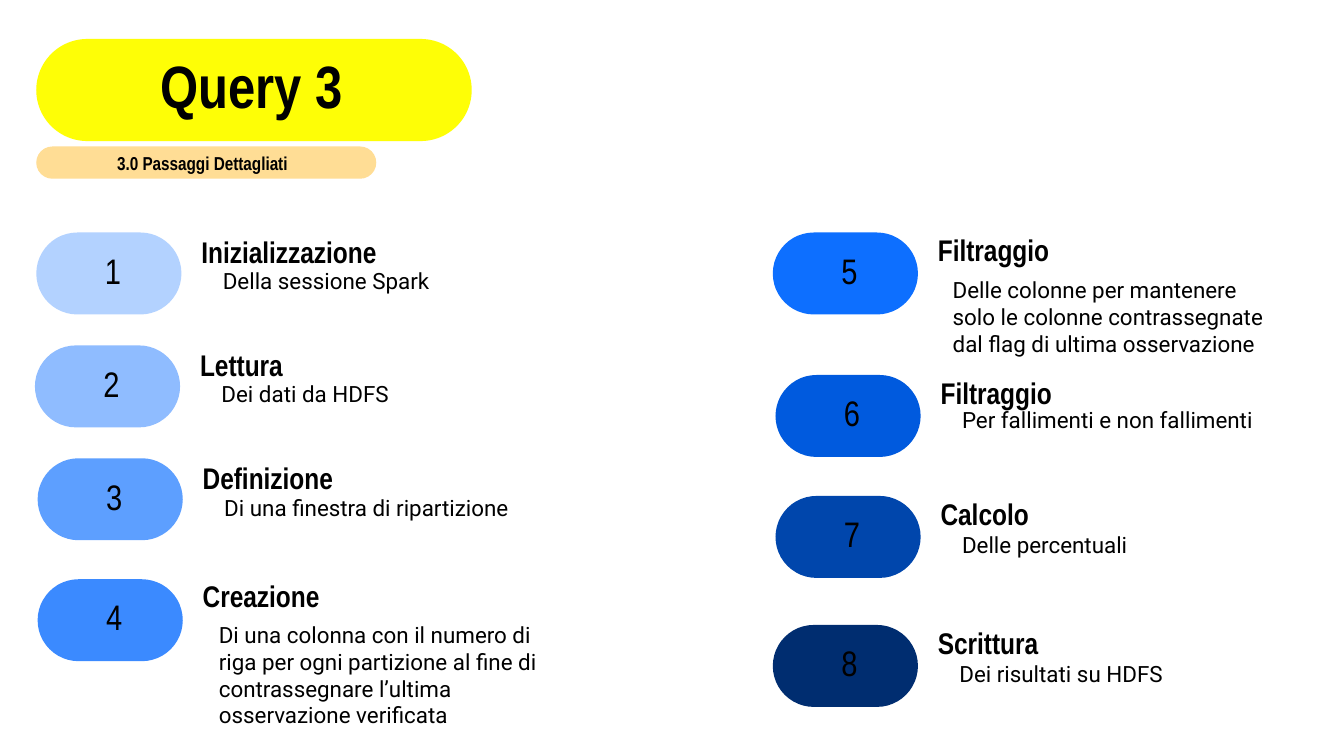
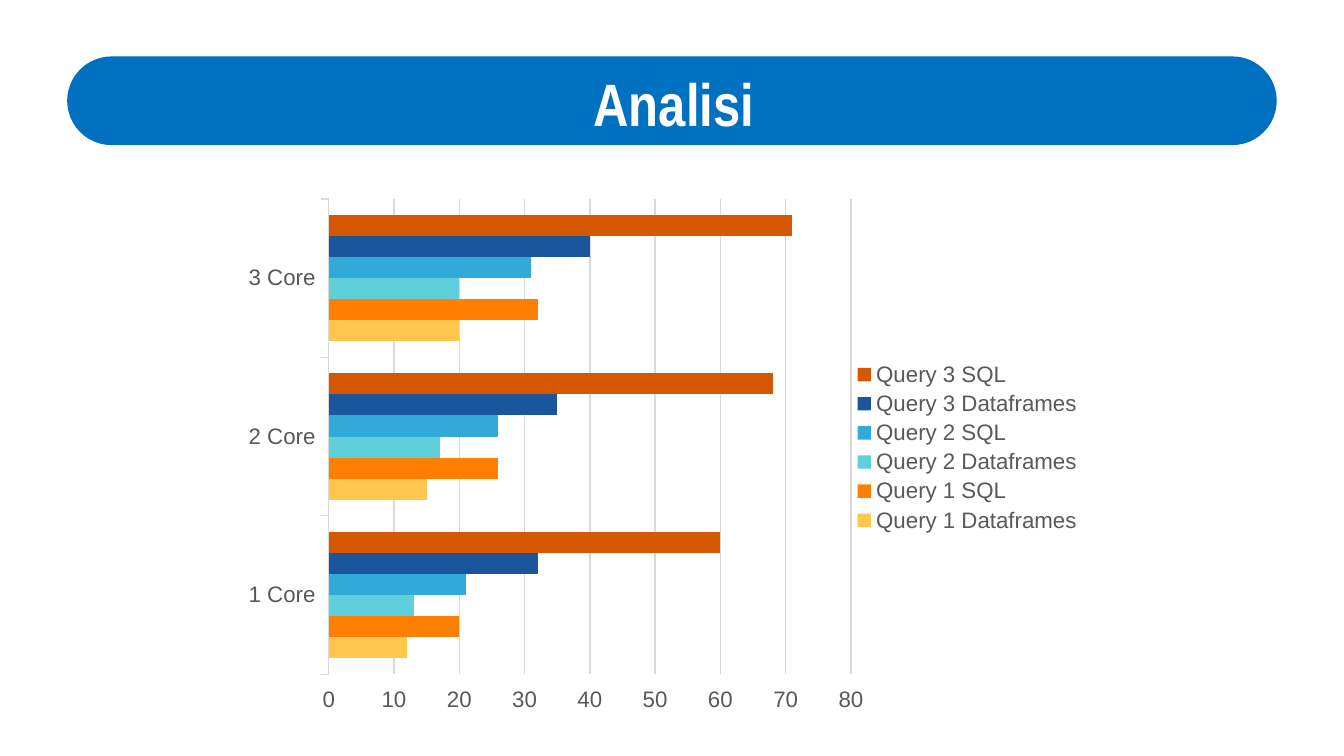
from dataclasses import dataclass

from lxml import etree
from pptx import Presentation
from pptx.chart.data import CategoryChartData
from pptx.dml.color import RGBColor
from pptx.enum.chart import XL_CHART_TYPE as ChartType
from pptx.enum.chart import XL_LEGEND_POSITION as LegendPosition
from pptx.enum.chart import XL_TICK_MARK as TickMark
from pptx.enum.shapes import MSO_SHAPE as Preset
from pptx.enum.text import MSO_ANCHOR as Anchor
from pptx.enum.text import PP_ALIGN as Align
from pptx.oxml.ns import qn
from pptx.util import Inches, Pt

COLORS = {
    "black": "000000",
    "white": "FFFFFF",
    "query": "FEFE06",
    "subtitle": "FFDD95",
    "analysis": "0070C0",
    "axis_text": "595959",
    "grid": "D9D9D9",
}
TITLE_FONT, BODY_FONT, CHART_FONT = "Arial Narrow", "Roboto", "Arial"
TITLE_SIZE = 32


@dataclass
class Step:
    left: float
    top: float
    color: str
    heading: str
    detail: str
    heading_dy: float = 0.01
    detail_at: tuple = (1.29, 0.24, 2.27, 0.24)


STEPS = [
    Step(0.27, 1.73, "B3D2FF", "Inizializzazione", "Della sessione Spark", 0.02),
    Step(0.26, 2.57, "8FBCFF", "Lettura", "Dei dati da HDFS", 0.02),
    Step(0.28, 3.41, "5D9FFF", "Definizione", "Di una finestra di ripartizione",
         0.02, (1.29, 0.25, 2.41, 0.24)),
    Step(0.28, 4.31, "3B8AFF", "Creazione",
         "Di una colonna con il numero di riga per ogni partizione al fine di "
         "contrassegnare l’ultima osservazione verificata",
         0, (1.25, 0.28, 2.62, 0.86)),
    Step(5.75, 1.73, "0D6FFF", "Filtraggio",
         "Delle colonne per mantenere solo le colonne contrassegnate "
         "dal flag di ultima osservazione",
         detail_at=(1.24, 0.26, 2.61, 0.73)),
    Step(5.77, 2.79, "005ADE", "Filtraggio", "Per fallimenti e non fallimenti",
         detail_at=(1.29, 0.24, 2.54, 0.19)),
    Step(5.77, 3.69, "0046AC", "Calcolo", "Delle percentuali"),
    Step(5.75, 4.65, "002D70", "Scrittura", "Dei risultati su HDFS"),
]

CORES = ["1 Core", "2 Core", "3 Core"]
SERIES = [
    ("Query 1 Dataframes", (12, 15, 20), "FFC64E"),
    ("Query 1 SQL", (20, 26, 32), "FF8001"),
    ("Query 2 Dataframes", (13, 17, 20), "5FD0DB"),
    ("Query 2 SQL", (21, 26, 31), "32AAD9"),
    ("Query 3 Dataframes", (32, 35, 40), "1A569C"),
    ("Query 3 SQL", (60, 68, 71), "D55800"),
]
PLOT_LAYOUT = {"x": 0.09, "y": 0.04, "w": 0.62, "h": 0.88}


def rgb(color):
    return RGBColor.from_string(COLORS.get(color, color))


def style_font(font, name, size, color, bold=False):
    font.name = name
    font.size = Pt(size)
    font.bold = bold
    font.color.rgb = rgb(color)


def write(box, text, font, size, color="black", bold=False, align=Align.LEFT):
    frame = box.text_frame
    frame.word_wrap = True
    frame.vertical_anchor = Anchor.MIDDLE
    frame.margin_left = frame.margin_right = Inches(0.1)
    frame.margin_top = frame.margin_bottom = Inches(0.1)
    para = frame.paragraphs[0]
    para.alignment = align
    span = para.add_run()
    span.text = text
    style_font(span.font, font, size, color, bold)


def add_text(page, at, text, font, size, **style):
    write(page.shapes.add_textbox(*map(Inches, at)), text, font, size, **style)


def add_block(shapes, preset, at, color):
    block = shapes.add_shape(preset, *map(Inches, at))
    block.shadow.inherit = False
    block.fill.solid()
    block.fill.fore_color.rgb = rgb(color)
    block.line.fill.background()
    return block


def add_pill(shapes, at, color):
    pill = add_block(shapes, Preset.ROUNDED_RECTANGLE, at, color)
    pill.adjustments[0] = 0.5


def add_banner(page, pill_at, fill, text_at, text, size=TITLE_SIZE, color="black"):
    add_pill(page.shapes, pill_at, fill)
    add_text(page, text_at, text, TITLE_FONT, size, color=color, bold=True,
             align=Align.CENTER)


def add_step(page, number, step):
    group = page.shapes.add_group_shape()
    add_pill(group.shapes, (step.left, step.top, 1.08, 0.61), step.color)
    label = add_block(group.shapes, Preset.RECTANGLE,
                      (step.left + 0.14, step.top + 0.15, 0.86, 0.26), step.color)
    write(label, str(number), TITLE_FONT, 19, align=Align.CENTER)
    add_text(page, (step.left + 1.13, step.top + step.heading_dy, 1.92, 0.24),
             step.heading, TITLE_FONT, 16, bold=True)
    dx, dy, width, height = step.detail_at
    add_text(page, (step.left + dx, step.top + dy, width, height),
             step.detail, BODY_FONT, 12)


def style_line(line):
    line.color.rgb = rgb("grid")
    line.width = Pt(0.75)


def set_plot_layout(chart):
    plot_area = chart.plots[0]._element.getparent()
    for old in plot_area.findall(qn("c:layout")):
        plot_area.remove(old)
    layout = etree.Element(qn("c:layout"))
    plot_area.insert(0, layout)
    manual = etree.SubElement(layout, qn("c:manualLayout"))
    settings = {"layoutTarget": "inner", "xMode": "edge", "yMode": "edge", **PLOT_LAYOUT}
    for name, value in settings.items():
        etree.SubElement(manual, qn(f"c:{name}")).set("val", str(value))


def add_bar_chart(page, at):
    data = CategoryChartData()
    data.categories = CORES
    for name, values, _ in SERIES:
        data.add_series(name, values)
    chart = page.shapes.add_chart(ChartType.BAR_CLUSTERED, *map(Inches, at), data).chart
    chart.has_title = False
    style_font(chart.font, CHART_FONT, 10, "black")
    plot = chart.plots[0]
    plot.gap_width = 150
    plot.vary_by_categories = False
    for series, (_, _, color) in zip(plot.series, SERIES):
        series.format.fill.solid()
        series.format.fill.fore_color.rgb = rgb(color)
    for axis in (chart.category_axis, chart.value_axis):
        axis.major_tick_mark = TickMark.OUTSIDE
        axis.minor_tick_mark = TickMark.NONE
        style_font(axis.tick_labels.font, CHART_FONT, 12, "axis_text")
    style_line(chart.category_axis.format.line)
    chart.value_axis.format.line.fill.background()
    chart.value_axis.has_major_gridlines = True
    style_line(chart.value_axis.major_gridlines.format.line)
    chart.has_legend = True
    chart.legend.position = LegendPosition.RIGHT
    chart.legend.include_in_layout = False
    style_font(chart.legend.font, CHART_FONT, 12, "axis_text")
    set_plot_layout(chart)


def add_page(deck):
    page = deck.slides.add_slide(deck.slide_layouts[6])
    page.background.fill.solid()
    page.background.fill.fore_color.rgb = rgb("white")
    return page


def build_query_page(deck):
    page = add_page(deck)
    add_banner(page, (0.27, 0.29, 3.24, 0.76), "query", (1.01, 0.33, 1.73, 0.6), "Query 3")
    add_banner(page, (0.27, 1.09, 2.53, 0.24), "subtitle", (0.17, 1.12, 2.67, 0.18),
               "3.0 Passaggi Dettagliati", size=10)
    for number, step in enumerate(STEPS, 1):
        add_step(page, number, step)


def build_analysis_page(deck):
    page = add_page(deck)
    add_bar_chart(page, (1.85, 1.32, 6.3, 4.02))
    add_banner(page, (0.5, 0.42, 9, 0.66), "analysis", (0.64, 0.5, 8.75, 0.52),
               "Analisi", color="white")


def main():
    deck = Presentation()
    deck.slide_width = Inches(10)
    deck.slide_height = Inches(10) * 9 // 16
    build_query_page(deck)
    build_analysis_page(deck)
    deck.save("out.pptx")


if __name__ == "__main__":
    main()
